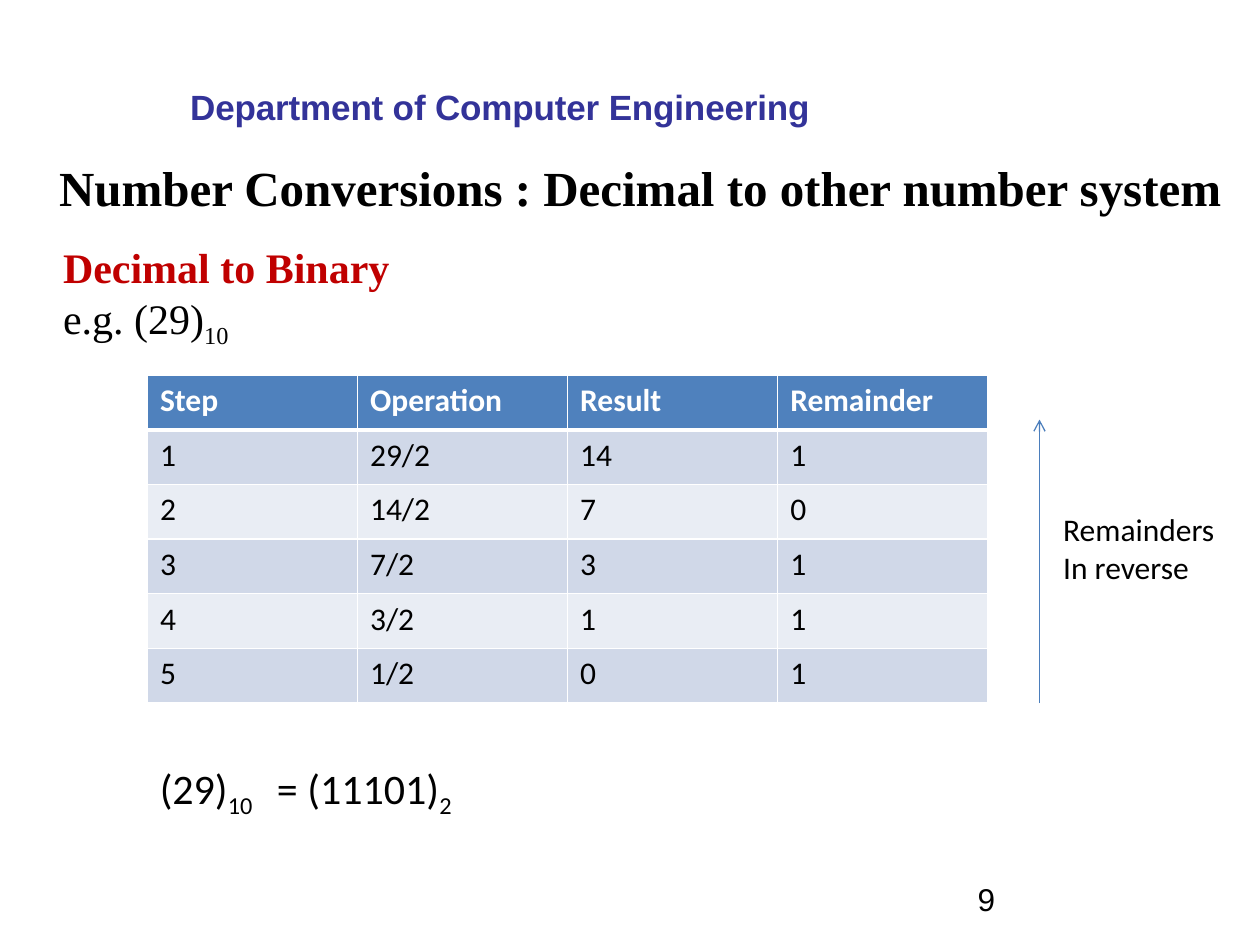
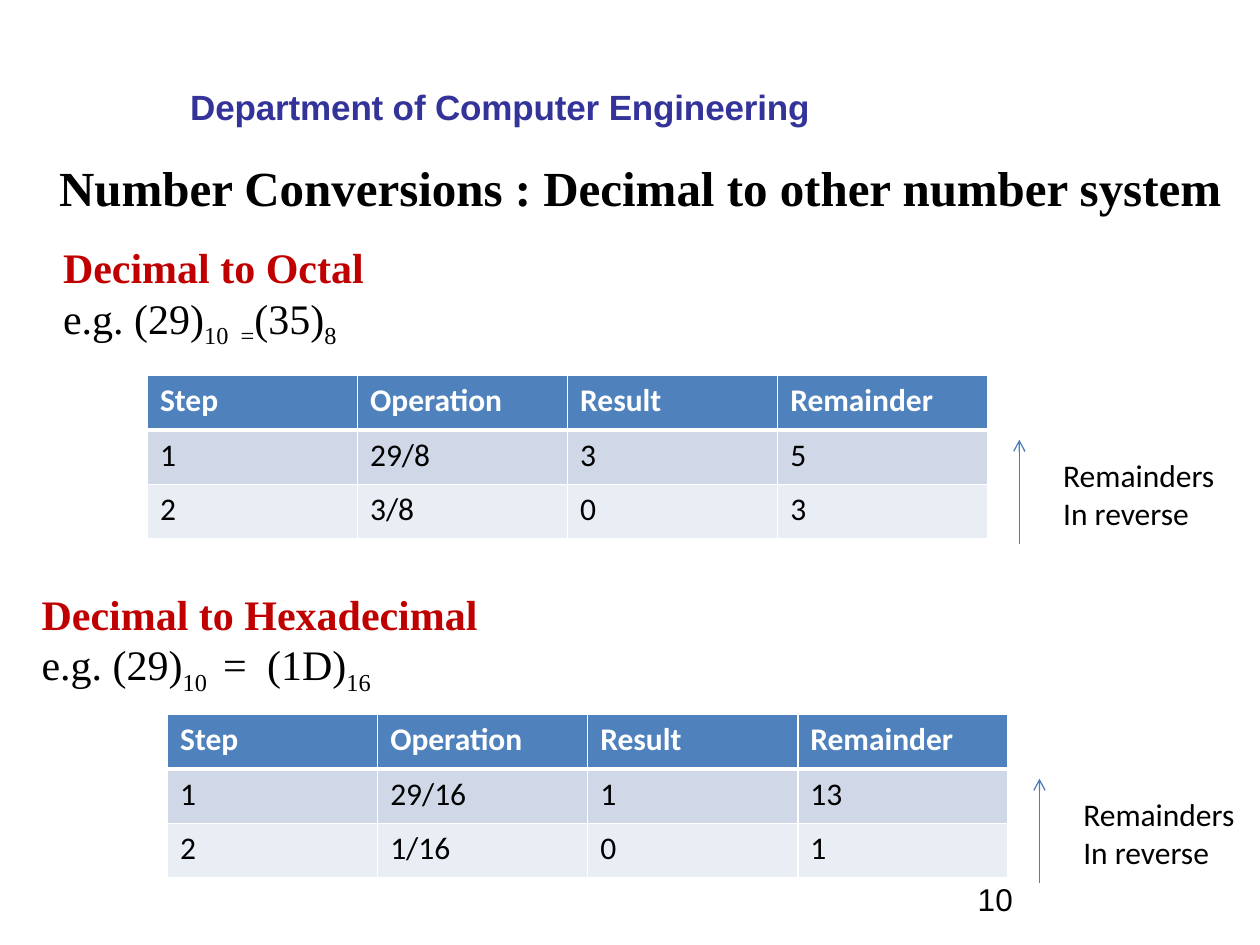
from lxml import etree
from pptx import Presentation
from pptx.dml.color import RGBColor
from pptx.enum.shapes import MSO_CONNECTOR
from pptx.enum.text import PP_ALIGN
from pptx.oxml.ns import qn
from pptx.util import Inches, Pt

STRAIGHT = MSO_CONNECTOR.STRAIGHT
CENTER = PP_ALIGN.CENTER

BLACK, WHITE, RED, NAVY = "000000", "FFFFFF", "C00000", "333399"
HEADER_FILL, BAND_FILLS = "4F81BD", ("D0D8E8", "E9EDF4")
ARROW_COLOR = "4B7EBC"
SERIF, SANS, BODY = "Times New Roman", "Arial", "Calibri"
COLUMNS = ("Step", "Operation", "Result", "Remainder")
TABLE_WIDTH, ROW_HEIGHT = Inches(6.67), Inches(1.3) // 3


def color(value):
    return RGBColor.from_string(value)


def add_run(paragraph, text, font, size, fill=BLACK, bold=False):
    run = paragraph.add_run()
    run.text = text
    run.font.name = font
    run.font.size = Pt(size)
    run.font.bold = bold
    run.font.color.rgb = color(fill)
    return run


def add_expression(paragraph, parts, font, tab_stops=()):
    """Add (text, is_subscript) parts, with tab stops in inches."""
    if tab_stops:
        tab_list = etree.SubElement(paragraph._p.get_or_add_pPr(), qn("a:tabLst"))
        for stop in tab_stops:
            etree.SubElement(tab_list, qn("a:tab"), pos=str(Inches(stop)), algn="l")
    for text, is_subscript in parts:
        run = add_run(paragraph, text, font, 24)
        if is_subscript:
            run.font._element.set("baseline", "-25000")


def add_text_frame(slide, left, top, width, height, insets=(0, 0, 0, 0)):
    shape = slide.shapes.add_textbox(Inches(left), Inches(top), Inches(width), Inches(height))
    frame = shape.text_frame
    frame.word_wrap = True
    (frame.margin_left, frame.margin_top,
     frame.margin_right, frame.margin_bottom) = map(Inches, insets)
    return frame


def add_frame(presentation, number):
    """Department line, title and slide number shared by every slide."""
    slide = presentation.slides.add_slide(presentation.slide_layouts[6])

    department = add_text_frame(slide, 1.5, 0.66, 4.98, 0.36, (0.01, 0.02, 0, 0))
    run = add_run(department.paragraphs[0], "Department of Computer Engineering", SANS, 20, NAVY, True)
    run.font._element.set("spc", "-10")

    title = add_text_frame(slide, 0.33, 1.25, 9.5, 0.47).paragraphs[0]
    title.alignment = CENTER
    add_run(title, "Number Conversions : Decimal to other number system", SERIF, 28, BLACK, True)

    page = add_text_frame(slide, 7.72, 6.99, 0.36, 0.31, (0.04, 0, 0, 0)).paragraphs[0]
    page.line_spacing = Pt(20.9)
    add_run(page, str(number), SANS, 18)
    return slide


def add_heading(slide, left, top, heading, parts, tab_stops=()):
    """Red heading with its example below."""
    frame = add_text_frame(slide, left, top, 9.01, 0.81)
    add_run(frame.paragraphs[0], heading, SERIF, 24, RED, True)
    add_expression(frame.add_paragraph(), parts, SERIF, tab_stops)


def set_borders(cell, top_width, bottom_width):
    properties = cell._tc.get_or_add_tcPr()
    for side, width in (("L", 1), ("R", 1), ("T", top_width), ("B", bottom_width)):
        line = etree.SubElement(properties, qn(f"a:ln{side}"), w=str(Pt(width)))
        solid = etree.SubElement(line, qn("a:solidFill"))
        etree.SubElement(solid, qn("a:srgbClr"), val=WHITE)


def add_table(slide, left, top, steps):
    rows = [COLUMNS, *((str(number), *step) for number, step in enumerate(steps, 1))]
    table = slide.shapes.add_table(len(rows), len(COLUMNS), Inches(left), Inches(top),
                                   TABLE_WIDTH, ROW_HEIGHT * len(rows)).table
    for row_index, row in enumerate(rows):
        is_header = row_index == 0
        for column_index, text in enumerate(row):
            cell = table.cell(row_index, column_index)
            set_borders(cell, 3 if row_index == 1 else 1, 3 if is_header else 1)
            cell.fill.solid()
            cell.fill.fore_color.rgb = color(HEADER_FILL if is_header else BAND_FILLS[(row_index - 1) % 2])
            add_run(cell.text_frame.paragraphs[0], text, BODY, 18,
                    WHITE if is_header else BLACK, is_header)


def add_up_arrow(slide, x, top, length):
    arrow = slide.shapes.add_connector(STRAIGHT, Inches(x), Inches(top + length), Inches(x), Inches(top))
    arrow.line.color.rgb = color(ARROW_COLOR)
    arrow.line.width = Pt(0.75)
    etree.SubElement(arrow.line._get_or_add_ln(), qn("a:tailEnd"), type="arrow")
    etree.SubElement(arrow._element.spPr, qn("a:effectLst"))


def add_division(slide, left, top, steps, arrow=(6.92, 0.51, 0.83), note_offset=0.59):
    """Division table with its arrow (x, y, length) and note, relative to the table."""
    add_table(slide, left, top, steps)
    arrow_x, arrow_y, arrow_length = arrow
    add_up_arrow(slide, left + arrow_x, top + arrow_y, arrow_length)
    note = add_text_frame(slide, left + 7.17, top + note_offset, 1.5, 0.71, (0.1, 0.05, 0.1, 0.05))
    add_run(note.paragraphs[0], "Remainders", BODY, 18)
    add_run(note.add_paragraph(), "In reverse", BODY, 18)


def build_binary_slide(presentation):
    slide = add_frame(presentation, 9)
    add_heading(slide, 0.5, 1.92, "Decimal to Binary", [("e.g. (29)", False), ("10", True)])
    steps = [("29/2", "14", "1"), ("14/2", "7", "0"), ("7/2", "3", "1"),
             ("3/2", "1", "1"), ("1/2", "0", "1")]
    add_division(slide, 1.17, 2.98, steps, arrow=(7.08, 0.35, 2.25), note_offset=1.02)
    answer = add_text_frame(slide, 1.17, 6, 2.8, 0.5, (0.1, 0.05, 0.1, 0.05))
    add_expression(answer.paragraphs[0],
                   [("(29)", False), ("10", True), ("\t= (11101)", False), ("2", True)], BODY, [0.93])


def build_octal_and_hexadecimal_slide(presentation):
    slide = add_frame(presentation, 10)
    add_heading(slide, 0.5, 1.92, "Decimal to Octal",
                [("e.g. (29)", False), ("10\t=", True), ("(35)", False), ("8", True)], [1.41])
    add_division(slide, 1.17, 2.98, [("29/8", "3", "5"), ("3/8", "0", "3")])

    add_heading(slide, 0.33, 4.67, "Decimal to Hexadecimal",
                [("e.g. (29)", False), ("10", True), ("\t=\t(1D)", False), ("16", True)], [1.44, 1.79])
    add_division(slide, 1.33, 5.67, [("29/16", "1", "13"), ("1/16", "0", "1")])


def main():
    presentation = Presentation()
    presentation.slide_width = Inches(10)
    presentation.slide_height = Inches(7.5)
    build_binary_slide(presentation)
    build_octal_and_hexadecimal_slide(presentation)
    presentation.save("out.pptx")


if __name__ == "__main__":
    main()
